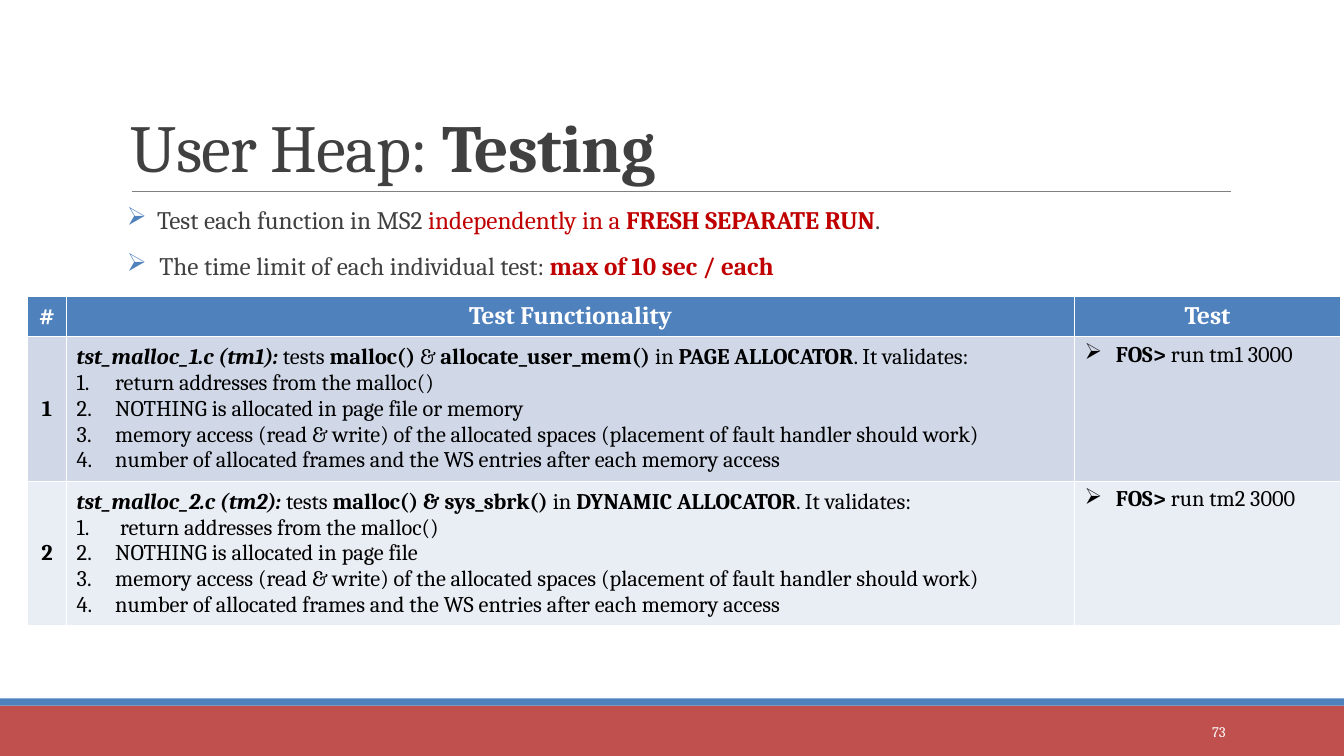
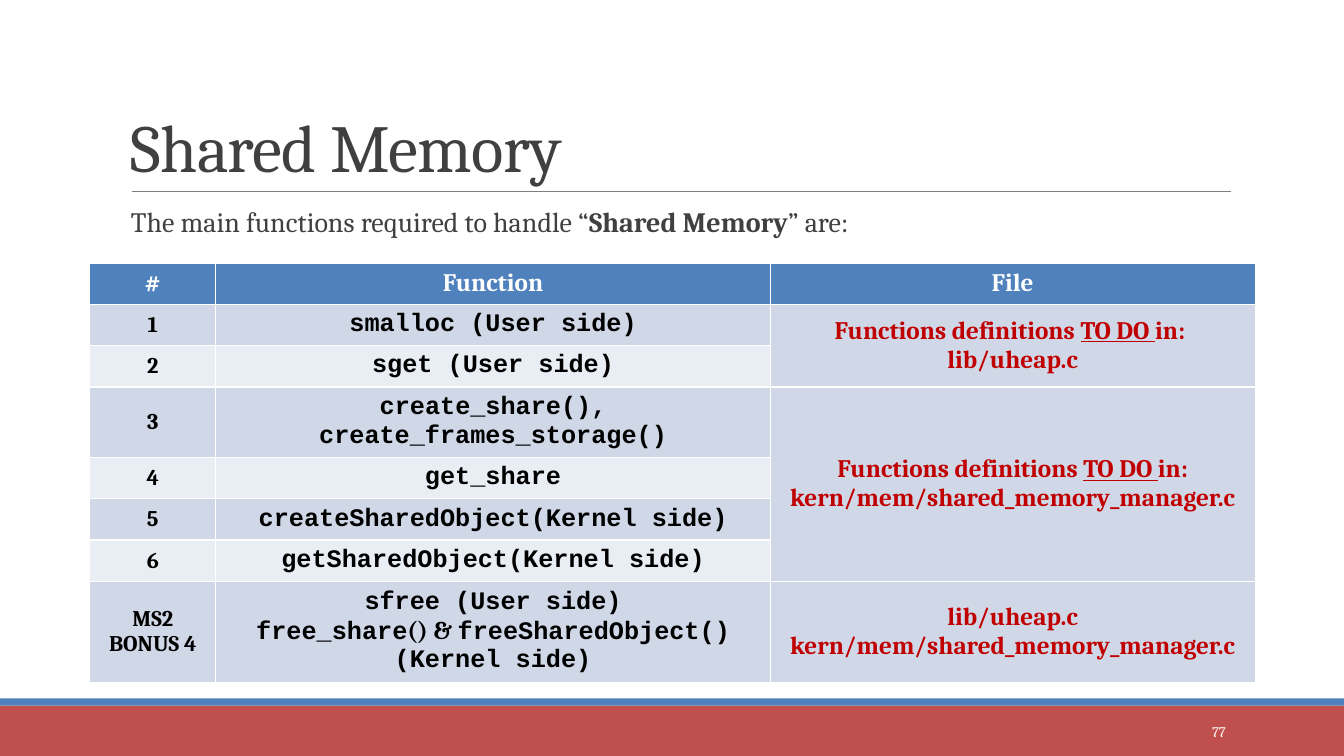
from lxml.etree import SubElement
from pptx import Presentation
from pptx.dml.color import RGBColor
from pptx.enum.shapes import MSO_CONNECTOR, MSO_SHAPE
from pptx.enum.text import MSO_ANCHOR, PP_ALIGN
from pptx.oxml.ns import qn
from pptx.util import Cm, Pt

COLORS = {
    "band": "C0504D", "accent": "4F81BD", "rule": "808080", "gray": "404040",
    "white": "FFFFFF", "black": "000000", "red": "C00000",
    "odd row": "D0D8E8", "even row": "E9EDF4",
}
SERIF, MONO = "Cambria", "Courier New"
PAGE_WIDTH, PAGE_HEIGHT = 33.87, 19.05

# Content: a run is (text, flags), where the flags are
# b bold, i italic, u underlined, r red, m monospaced.
# A paragraph is a list of runs; a cell is a list of paragraphs.
TESTING_TITLE = [("User Heap: ", ""), ("Testing", "b")]
TESTING_NOTES = [
    [("Test each function in MS2 ", ""), ("independently in a ", "r"),
     ("FRESH SEPARATE RUN", "br"), (".", "")],
    [("The time limit of each individual test: ", ""),
     ("max of 10 sec / each", "br")],
]
TESTS = [
    {
        "intro": [("tst_malloc_1.c (tm1): ", "bi"), ("tests ", ""),
                  ("malloc() ", "b"), ("& ", ""),
                  ("allocate_user_mem() ", "b"), ("in ", ""),
                  ("PAGE ALLOCATOR", "b"), (". It validates:", "")],
        "checks": ["return addresses from the malloc()",
                   "NOTHING is allocated in page file or memory"],
        "command": " run tm1 3000",
    },
    {
        "intro": [("tst_malloc_2.c (tm2): ", "bi"), ("tests ", ""),
                  ("malloc() & sys_sbrk() ", "b"), ("in ", ""),
                  ("DYNAMIC ALLOCATOR", "b"), (". It validates:", "")],
        "checks": [" return addresses from the malloc()",
                   "NOTHING is allocated in page file"],
        "command": " run tm2 3000",
    },
]
COMMON_CHECKS = [
    "memory access (read & write) of the allocated spaces "
    "(placement of fault handler should work)",
    "number of allocated frames and the WS entries after each memory access",
]

SHARED_TITLE = [("Shared Memory", "")]
SHARED_INTRO = [("The main functions required to handle “", ""),
                ("Shared Memory", "b"), ("” are:", "")]
TO_DO = [("Functions definitions ", "br"), ("TO DO ", "bru")]
USER_FILE, KERNEL_FILE = "lib/uheap.c", "kern/mem/shared_memory_manager.c"
# Label, function paragraphs, file paragraphs (None joins the cell above), height
FUNCTIONS = [
    ("1", [[("smalloc (User side)", "bm")]],
     [TO_DO + [("in: ", "br")], [(USER_FILE, "br")]], 1.04),
    ("2", [[("sget (User side)", "bm")]], None, 1.04),
    ("3", [[("create_share(), create_frames_storage()", "bm")]],
     [TO_DO + [("in: " + KERNEL_FILE, "br")]], 1.68),
    ("4", [[("get_share", "bm")]], None, 1.04),
    ("5", [[("createSharedObject(Kernel side)", "bm")]], None, 1.04),
    ("6", [[("getSharedObject(Kernel side)", "bm")]], None, 1.04),
    ("MS2 BONUS 4",
     [[("sfree (User side)", "bm")],
      [("free_share", "bm"), ("() & ", "b"),
       ("freeSharedObject() (Kernel side)", "bm")]],
     [[(USER_FILE, "br")], [(KERNEL_FILE, "br")]], 2.44),
]


def rgb(name):
    return RGBColor.from_string(COLORS[name])


def add_runs(para, runs, size, color):
    for text, flags in runs:
        span = para.add_run()
        span.text = text
        font = span.font
        font.name = MONO if "m" in flags else SERIF
        font.size = Pt(size)
        font.bold, font.italic = "b" in flags, "i" in flags
        font.underline = "u" in flags
        font.color.rgb = rgb("red" if "r" in flags else color)


def write(frame, paragraphs, size, color, align=PP_ALIGN.LEFT):
    """Fill a text frame and return its paragraphs."""
    for index, runs in enumerate(paragraphs):
        para = frame.add_paragraph() if index else frame.paragraphs[0]
        para.alignment = align
        add_runs(para, runs, size, color)
    return frame.paragraphs


def add_bullet(para, indent, char=None, color="black"):
    """Hang a bullet character, or a number when no character is given."""
    props = para._p.get_or_add_pPr()
    props.set("marL", str(Cm(indent)))
    props.set("indent", str(-Cm(indent)))
    paint = SubElement(props, qn("a:buClr"))
    SubElement(paint, qn("a:srgbClr")).set("val", COLORS[color])
    if char:
        SubElement(props, qn("a:buChar")).set("char", char)
    else:
        SubElement(props, qn("a:buAutoNum")).set("type", "arabicPeriod")


def add_text_box(page, left, top, width, height, anchor=MSO_ANCHOR.TOP, inset=0.25):
    box = page.shapes.add_textbox(Cm(left), Cm(top), Cm(width), Cm(height))
    frame = box.text_frame
    frame.word_wrap = True
    frame.vertical_anchor = anchor
    frame.margin_left = frame.margin_right = Cm(inset)
    return frame


def add_page(deck, title, number):
    """Blank page with the shared bands, rule, title and page number."""
    page = deck.slides.add_slide(deck.slide_layouts[6])
    for top, height, color in ((17.78, 1.27, "band"), (17.6, 0.18, "accent")):
        band = page.shapes.add_shape(
            MSO_SHAPE.RECTANGLE, 0, Cm(top), Cm(PAGE_WIDTH), Cm(height))
        band.shadow.inherit = False
        band.fill.solid()
        band.fill.fore_color.rgb = rgb(color)
        band.line.fill.background()

    rule = page.shapes.add_connector(
        MSO_CONNECTOR.STRAIGHT, Cm(3.33), Cm(4.83), Cm(31.01), Cm(4.83))
    rule.line.color.rgb = rgb("rule")
    rule.line.width = Pt(0.5)
    SubElement(rule._element.spPr, qn("a:effectLst"))

    frame = add_text_box(page, 3.05, 0.79, 27.94, 4.04, MSO_ANCHOR.BOTTOM)
    para = write(frame, [title], 48, "gray")[0]
    para.line_spacing = 0.85
    for span in para.runs:
        span.font._element.set("spc", "-50")

    frame = add_text_box(page, 27.51, 17.93, 3.63, 1.02, MSO_ANCHOR.MIDDLE)
    write(frame, [[(number, "")]], 10.5, "white", PP_ALIGN.RIGHT)
    return page


def add_grid(page, left, top, widths, heights, headings):
    """Banded table with its heading row filled in."""
    table = page.shapes.add_table(
        len(heights), len(widths), Cm(left), Cm(top),
        Cm(sum(widths)), Cm(sum(heights))).table
    for column, width in zip(table.columns, widths):
        column.width = Cm(width)
    for index, (row, height) in enumerate(zip(table.rows, heights)):
        row.height = Cm(height)
        color = ("even row", "odd row")[index % 2] if index else "accent"
        for cell in row.cells:
            cell.fill.solid()
            cell.fill.fore_color.rgb = rgb(color)
            cell.vertical_anchor = MSO_ANCHOR.MIDDLE
    for cell, heading in zip(table.rows[0].cells, headings):
        write(cell.text_frame, [[(heading, "b")]], 18, "white", PP_ALIGN.CENTER)
    return table


def build_testing(deck):
    page = add_page(deck, TESTING_TITLE, "73")

    # Notes above the table
    frame = add_text_box(page, 3.2, 5.03, 27.94, 2.4, inset=0)
    notes = write(frame, TESTING_NOTES, 18, "gray")
    for para, before, indent in zip(notes, (12, 9), (0.76, 0.82)):
        para.space_before, para.space_after = Pt(before), Pt(2)
        add_bullet(para, indent, "➢", "accent")

    # Tests
    table = add_grid(page, 0.69, 7.47, (0.99, 25.4, 6.7),
                     [0.99] + [3.48] * len(TESTS),
                     ("#", "Test Functionality", "Test"))
    for row, test in enumerate(TESTS, 1):
        label, purpose, command = table.rows[row].cells
        write(label.text_frame, [[(str(row), "b")]], 16, "black", PP_ALIGN.CENTER)
        checks = [[(check, "")] for check in test["checks"] + COMMON_CHECKS]
        lines = write(purpose.text_frame, [test["intro"]] + checks, 16, "black")
        for para in lines[1:]:
            add_bullet(para, 0.97)
        command.vertical_anchor = MSO_ANCHOR.TOP
        runs = [("FOS>", "b"), (test["command"], "")]
        add_bullet(write(command.text_frame, [runs], 16, "black")[0], 0.79, "➢")


def build_shared_memory(deck):
    page = add_page(deck, SHARED_TITLE, "77")

    # Introduction
    frame = add_text_box(page, 3.3, 5.13, 27.69, 1.3, inset=0)
    para = write(frame, [SHARED_INTRO], 20, "gray")[0]
    para.line_spacing = 0.9
    para.space_before, para.space_after = Pt(12), Pt(2)

    # Functions and the files that hold them
    table = add_grid(page, 2.26, 6.63, (3.18, 13.97, 12.22),
                     [1.04] + [entry[-1] for entry in FUNCTIONS],
                     ("#", "Function", "File"))
    first = 1
    for row, (label, functions, files, _) in enumerate(FUNCTIONS, 1):
        cells = table.rows[row].cells
        write(cells[0].text_frame, [[(label, "b")]], 16, "black", PP_ALIGN.CENTER)
        write(cells[1].text_frame, functions, 18, "black", PP_ALIGN.CENTER)
        if files:
            first = row
            write(cells[2].text_frame, files, 18, "red", PP_ALIGN.CENTER)
        elif row == len(FUNCTIONS) or FUNCTIONS[row][2]:
            table.cell(first, 2).merge(cells[2])


def main():
    deck = Presentation()
    deck.slide_width, deck.slide_height = Cm(PAGE_WIDTH), Cm(PAGE_HEIGHT)
    build_testing(deck)
    build_shared_memory(deck)
    deck.save("out.pptx")


if __name__ == "__main__":
    main()
